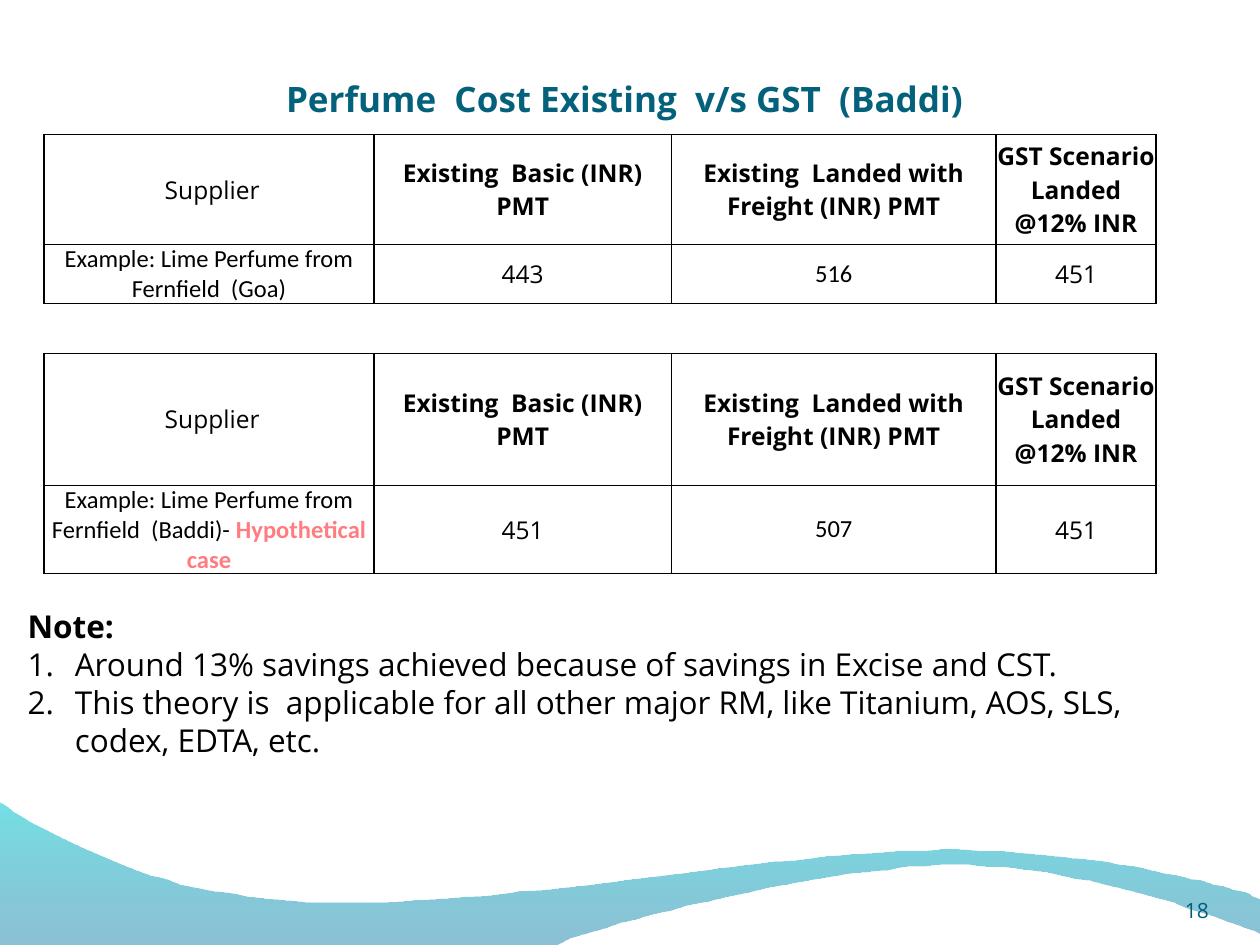
from lxml.etree import SubElement
from pptx import Presentation
from pptx.dml.color import RGBColor as RGB
from pptx.enum.text import MSO_ANCHOR as Anchor, PP_ALIGN as Align
from pptx.oxml import parse_xml
from pptx.oxml.ns import nsdecls, qn
from pptx.util import Pt

COLORS = {"ink": "000000", "title": "04617B", "number": "045D75", "alert": "FF7C80",
          "deep": "0074A1", "aqua": "00C6CF"}
SANS, BODY = "Open Sans", "Calibri"


class Deck:
    """Holds the style and the current slide, and draws its elements."""

    def __init__(self, width, height):
        self.deck = Presentation()
        self.deck.slide_width, self.deck.slide_height = Pt(width), Pt(height)
        self.slide = self.deck.slides.add_slide(self.deck.slide_layouts[6])

    def style(self, run, size, color="ink", bold=False, font=SANS):
        run.font.name, run.font.size, run.font.bold = font, Pt(size), bold
        run.font.color.rgb = RGB.from_string(COLORS[color])

    def text(self, box, lines, size, color="ink", bold=False, align=Align.LEFT,
             anchor=Anchor.TOP, inset=(7.2, 3.6)):
        frame = self.slide.shapes.add_textbox(*map(Pt, box)).text_frame
        frame.word_wrap, frame.vertical_anchor = True, anchor
        frame.margin_left = frame.margin_right = Pt(inset[0])
        frame.margin_top = frame.margin_bottom = Pt(inset[1])
        frame.text = "\n".join(lines)
        for paragraph in frame.paragraphs:
            paragraph.alignment = align
            self.style(paragraph.runs[0], size, color, bold)
        return frame.paragraphs

    def number(self, paragraph, indent):
        props = paragraph._p.get_or_add_pPr()
        props.set("marL", str(Pt(indent)))
        props.set("indent", str(-Pt(indent)))
        SubElement(props, qn("a:buFont"), typeface="+mj-lt")
        SubElement(props, qn("a:buAutoNum"), type="arabicPeriod")

    def border(self, cell):
        props = cell._tc.get_or_add_tcPr()
        for place, side in enumerate("LRTB"):
            props.insert(place, parse_xml(
                f'<a:ln{side} {nsdecls("a")} w="{Pt(1)}"><a:solidFill>'
                f'<a:srgbClr val="{COLORS["ink"]}"/></a:solidFill></a:ln{side}>'))

    def table(self, left, top, widths, heights, rows):
        grid = self.slide.shapes.add_table(
            len(rows), len(widths), Pt(left), Pt(top), Pt(sum(widths)), Pt(sum(heights))).table
        grid.first_row = grid.horz_banding = False
        for column, width in zip(grid.columns, widths):
            column.width = Pt(width)
        for r, (height, row) in enumerate(zip(heights, rows)):
            grid.rows[r].height = Pt(height)
            for c, words in enumerate(row):
                cell = grid.cell(r, c)
                cell.margin_left = cell.margin_right = cell.margin_top = cell.margin_bottom = 0
                cell.vertical_anchor = Anchor.MIDDLE
                cell.fill.background()
                self.border(cell)
                paragraph = cell.text_frame.paragraphs[0]
                paragraph.text, paragraph.alignment = words, Align.CENTER
                self.style(paragraph.runs[0], 14, bold=r == 0 and c > 0,
                           font=BODY if r and c in (0, 2) else SANS)
        return grid

    def wave(self, start, segments, stops, steps=24):
        points, last = [], start
        for segment in segments:
            if len(segment) == 1:
                points.append(segment[0])
            else:
                a, b, c = segment
                for t in (i / steps for i in range(1, steps + 1)):
                    u = 1 - t
                    points.append(tuple(u**3 * p + 3 * u * u * t * q + 3 * u * t * t * r + t**3 * s
                                        for p, q, r, s in zip(last, a, b, c)))
            last = segment[-1]
        builder = self.slide.shapes.build_freeform(*start, scale=Pt(1))
        builder.add_line_segments(points, close=True)
        shape = builder.convert_to_shape()
        shape.shadow.inherit = False
        shape.line.fill.background()
        shape.fill.gradient()
        shape.fill.gradient_angle = 90
        for stop, (position, color, opacity) in zip(shape.fill.gradient_stops, stops):
            stop.position, stop.color.rgb = position, RGB.from_string(COLORS[color])
            tint = stop._gs.find(qn("a:srgbClr"))
            SubElement(tint, qn("a:alpha"), val=str(opacity * 1000))


page = Deck(720, 540)
page.wave((0, 540), [
    [(316.8, 540)],
    [(342.7, 527), (478, 494), (545.8, 494)],
    [(614.2, 494), (689.8, 521.3), (720, 532.8)],
    [(720.7, 513.4)],
    [(707.8, 507.6), (626.4, 484.6), (537.1, 485.3)],
    [(447.8, 486), (275, 519.1), (185, 514.8)],
    [(92.9, 514.1), (33.1, 479.5), (-0.7, 457.9)],
], [(0, "deep", 45), (1, "aqua", 55)])

page.text((36, 21, 642, 51), ["Perfume  Cost Existing  v/s GST  (Baddi)"], 20, "title", True,
          Align.CENTER, Anchor.BOTTOM, (3.6, 3.6))
page.text((660, 498, 48, 29), ["18"], 12, "number", align=Align.CENTER,
          anchor=Anchor.BOTTOM, inset=(0, 0))

HEADER = ["\u00a0Supplier", "Existing  Basic (INR) PMT",
          "Existing  Landed with Freight (INR) PMT", "GST Scenario Landed @12% INR"]
WIDTHS = [188.5, 170, 185.5, 91.5]
EXAMPLE = "Example: Lime Perfume from Fernfield  "
page.table(25.2, 77, WIDTHS, [62.6, 34], [HEADER, [EXAMPLE + "(Goa)", "443", "516", "451"]])
baddi = page.table(25.2, 202, WIDTHS, [75.4, 50.4],
                   [HEADER, [EXAMPLE + "(Baddi)-", "451", "507", "451"]])
hypothetical = baddi.cell(1, 0).text_frame.paragraphs[0].add_run()
hypothetical.text = " Hypothetical case"
page.style(hypothetical, 14, "alert", True, BODY)

note, *points = page.text((8.7, 343.5, 681, 138), [
    "Note:",
    "Around 13% savings achieved because of savings in Excise and CST.",
    "This theory is  applicable for all other major RM, like Titanium, AOS, SLS, codex, EDTA, etc.",
], 18)
note.runs[0].font.bold = True
for point in points:
    page.number(point, 27)

page.deck.save("out.pptx")
